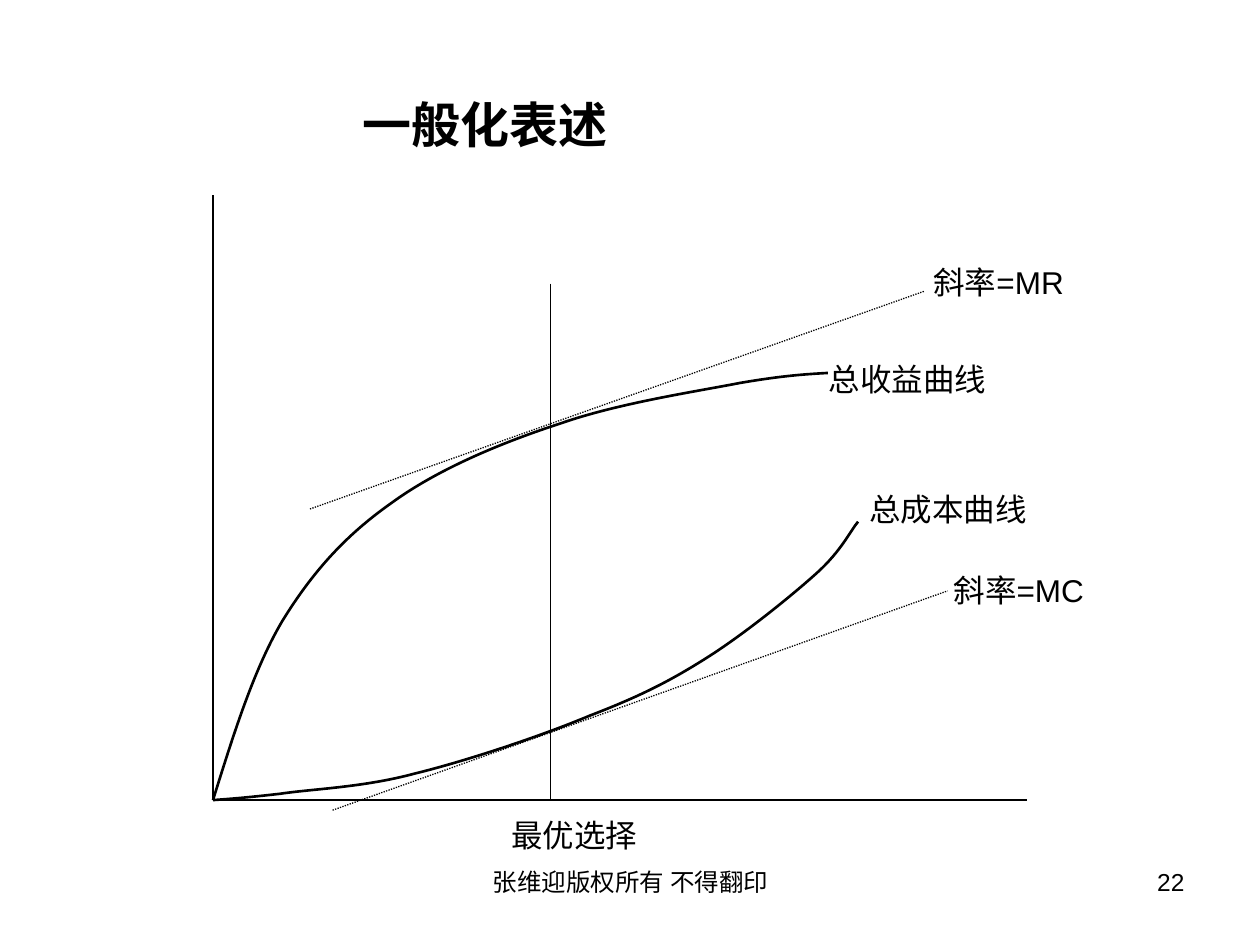
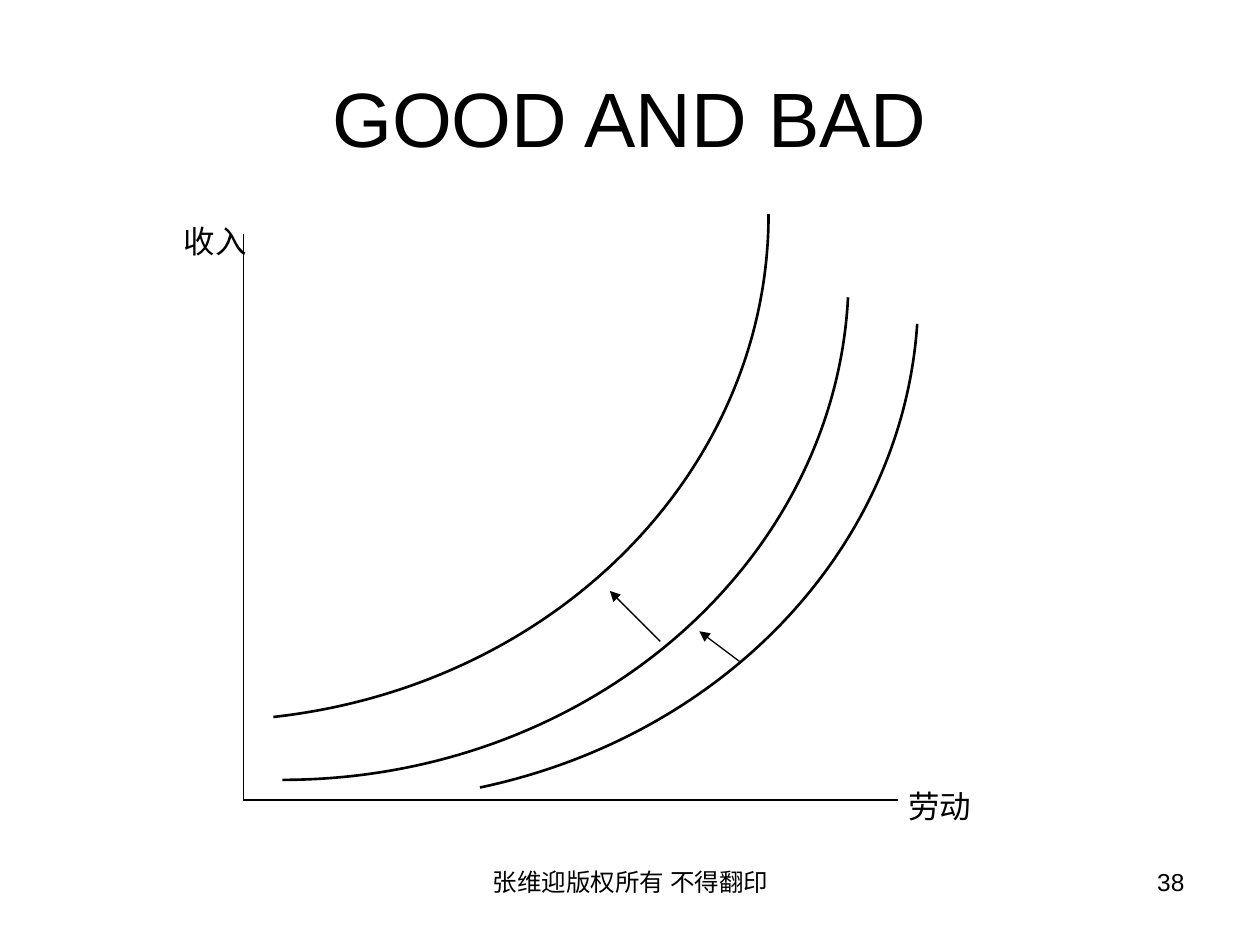
"""Build two economics slides: optimal choice and indifference curves."""
import lxml.etree
import pptx
import pptx.dml.color
import pptx.enum.dml
import pptx.enum.shapes
import pptx.enum.text
import pptx.oxml.ns
import pptx.util

Inches = pptx.util.Inches
Pt = pptx.util.Pt
qn = pptx.oxml.ns.qn
ALIGN = pptx.enum.text.PP_ALIGN
ANCHOR = pptx.enum.text.MSO_ANCHOR
AUTO_SIZE = pptx.enum.text.MSO_AUTO_SIZE
BLACK = pptx.dml.color.RGBColor(0, 0, 0)
WHITE = pptx.dml.color.RGBColor(255, 255, 255)
FOOTER = "张维迎版权所有 不得翻印"
BASELINE = 6.35


def write_text(frame, text, size=18, bold=False, align=ALIGN.LEFT, color=BLACK):
    """Fill a text frame with one formatted paragraph."""
    paragraph = frame.paragraphs[0]
    paragraph.alignment = align
    run = paragraph.add_run()
    run.text = text
    run.font.name = "Arial"
    run.font.size = Pt(size)
    run.font.bold = bold
    run.font.color.rgb = color


def round_segments(shape):
    """Turn each three line segments of a freeform into one cubic curve."""
    outline = next(shape._element.iter(qn("a:path")))
    segments = outline.findall(qn("a:lnTo"))
    for first in range(0, len(segments), 3):
        cubic = lxml.etree.SubElement(outline, qn("a:cubicBezTo"))
        for segment in segments[first:first + 3]:
            cubic.append(segment[0])
            outline.remove(segment)


class DiagramDeck:
    """Hold the presentation, its style and the current slide."""

    def __init__(self):
        self.presentation = pptx.Presentation()
        self.presentation.slide_width = Inches(10)
        self.presentation.slide_height = Inches(7.5)
        self.slide = None

    def add_slide(self, number):
        """Start a slide with its footer and number."""
        self.slide = self.presentation.slides.add_slide(self.presentation.slide_layouts[6])
        self.slide.background.fill.solid()
        self.slide.background.fill.fore_color.rgb = WHITE
        self.text(FOOTER, 3.42, 6.83, 3.17, 0.52, wrap=True, size=14, align=ALIGN.CENTER)
        self.text(str(number), 7.17, 6.83, 2.33, 0.52, wrap=True, size=14, align=ALIGN.RIGHT)

    def text(self, text, left, top, width, height=0.4, wrap=False, anchor=ANCHOR.TOP, **style):
        """Add a text box that grows with its text unless it wraps."""
        shape = self.slide.shapes.add_textbox(
            Inches(left), Inches(top), Inches(width), Inches(height))
        frame = shape.text_frame
        frame.word_wrap = wrap
        frame.auto_size = AUTO_SIZE.NONE if wrap else AUTO_SIZE.SHAPE_TO_FIT_TEXT
        frame.vertical_anchor = anchor
        write_text(frame, text, **style)

    def line(self, start, end, dotted=False, arrow=False):
        """Add a thin straight line."""
        connector = self.slide.shapes.add_connector(
            pptx.enum.shapes.MSO_CONNECTOR.STRAIGHT, *map(Inches, start + end))
        connector.line.color.rgb = BLACK
        connector.line.width = Pt(0.75)
        if dotted:
            connector.line.dash_style = pptx.enum.dml.MSO_LINE.ROUND_DOT
        properties = connector._element.spPr
        if arrow:
            outline = properties.find(qn("a:ln"))
            lxml.etree.SubElement(outline, qn("a:tailEnd"), type="triangle")
        lxml.etree.SubElement(properties, qn("a:effectLst"))

    def axes(self, left, top, right):
        """Add a vertical and a horizontal axis meeting at the baseline."""
        self.line((left, top), (left, BASELINE))
        self.line((left, BASELINE), (right, BASELINE))

    def curve(self, *points):
        """Add a smooth open curve from a start and triples of cubic points."""
        start, *controls = [(Inches(x), Inches(y)) for x, y in points]
        builder = self.slide.shapes.build_freeform(*start)
        builder.add_line_segments(controls, close=False)
        shape = builder.convert_to_shape()
        round_segments(shape)
        shape.shadow.inherit = False
        shape.fill.background()
        shape.line.color.rgb = BLACK
        shape.line.width = Pt(1.5)


def add_optimal_choice(deck):
    """Draw total revenue and total cost with equal slopes."""
    deck.add_slide(22)
    deck.axes(1.69, 1.55, 8.15)
    deck.curve((1.69, 6.35), (1.83, 6.34), (1.96, 6.33), (2.22, 6.3),
               (2.49, 6.26), (2.88, 6.25), (3.29, 6.14),
               (3.7, 6.04), (4.3, 5.84), (4.68, 5.68),
               (5.07, 5.53), (5.31, 5.41), (5.61, 5.22),
               (5.91, 5.03), (6.28, 4.73), (6.48, 4.55),
               (6.68, 4.37), (6.75, 4.21), (6.81, 4.14))
    deck.curve((1.69, 6.35), (1.85, 5.84), (2.01, 5.32), (2.24, 4.93),
               (2.48, 4.54), (2.74, 4.25), (3.11, 3.99),
               (3.48, 3.72), (3.99, 3.51), (4.45, 3.36),
               (4.91, 3.2), (5.51, 3.11), (5.87, 3.04),
               (6.22, 2.98), (6.4, 2.97), (6.57, 2.96))
    deck.line((2.64, 6.43), (7.52, 4.69), dotted=True)
    deck.line((2.46, 4.04), (7.34, 2.31), dotted=True)
    deck.line((4.37, 2.25), (4.37, BASELINE))
    deck.text("一般化表述", 2.78, 0.7, 2.14, 0.57, size=28, bold=True)
    for label, left, top, width in (
            ("斜率=MR", 7.31, 2.04, 1.29),
            ("斜率=MC", 7.47, 4.48, 1.29),
            ("最优选择", 3.96, 6.43, 1.2),
            ("总收益曲线", 6.48, 2.81, 1.45),
            ("总成本曲线", 6.8, 3.84, 1.45)):
        deck.text(label, left, top, width)


def add_good_and_bad(deck):
    """Draw indifference curves between labour and income."""
    deck.add_slide(38)
    deck.text("GOOD AND BAD", 0.5, 0.3, 9, 1.25, wrap=True, anchor=ANCHOR.MIDDLE,
              size=44, align=ALIGN.CENTER)
    deck.axes(1.93, 1.86, 7.13)
    deck.curve((2.24, 6.19), (4.64, 6.19), (6.62, 4.5), (6.73, 2.36))
    deck.curve((2.17, 5.69), (4.42, 5.44), (6.1, 3.73), (6.1, 1.7))
    deck.curve((3.81, 6.25), (5.75, 5.84), (7.16, 4.35), (7.28, 2.57))
    deck.text("劳动", 7.11, 6.2, 0.7)
    deck.text("收入", 1.36, 1.71, 0.7)
    deck.line((5.24, 5.09), (4.84, 4.69), arrow=True)
    deck.line((5.87, 5.25), (5.55, 5.01), arrow=True)


def main():
    """Build and save the presentation."""
    deck = DiagramDeck()
    add_optimal_choice(deck)
    add_good_and_bad(deck)
    deck.presentation.save("out.pptx")


if __name__ == "__main__":
    main()
